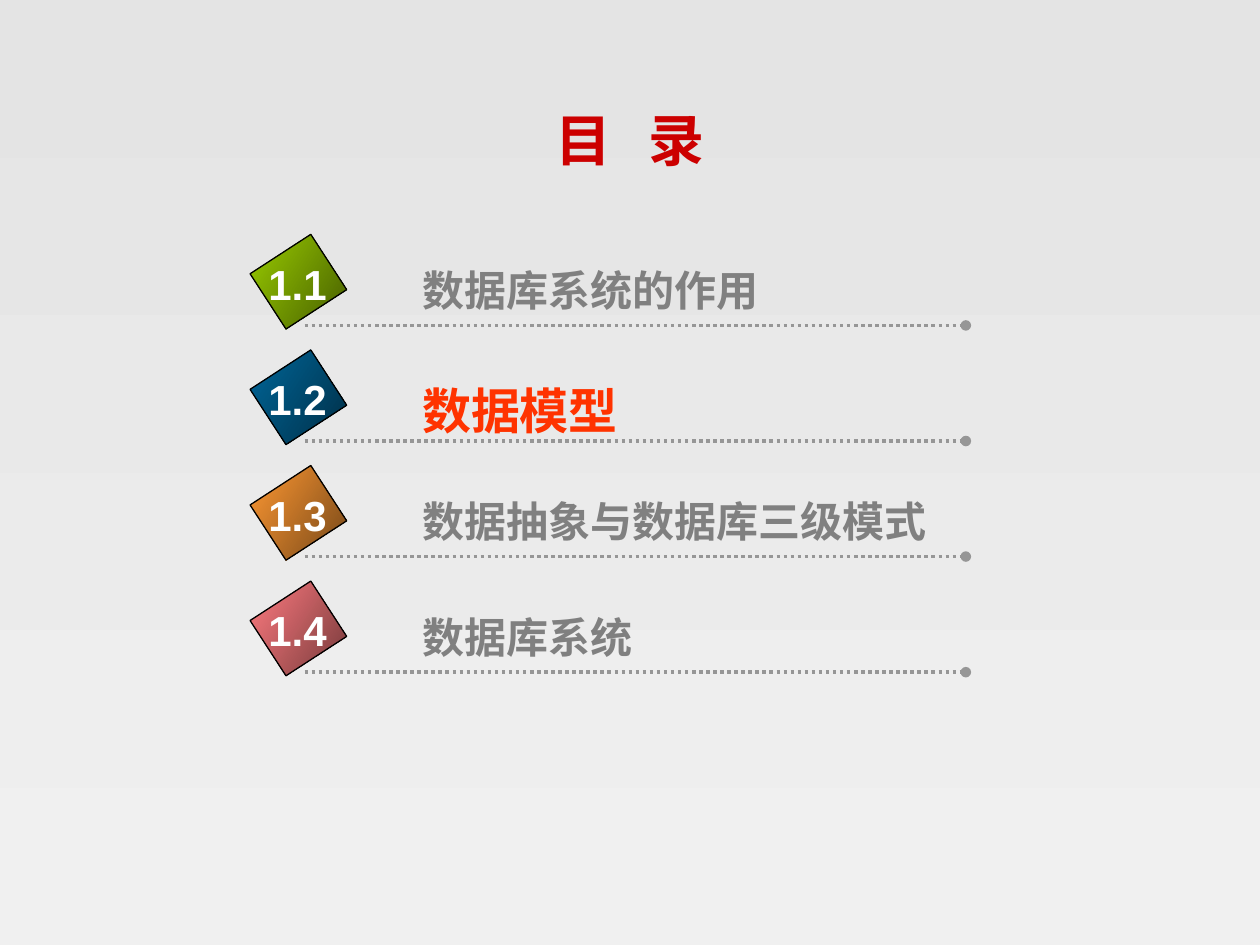
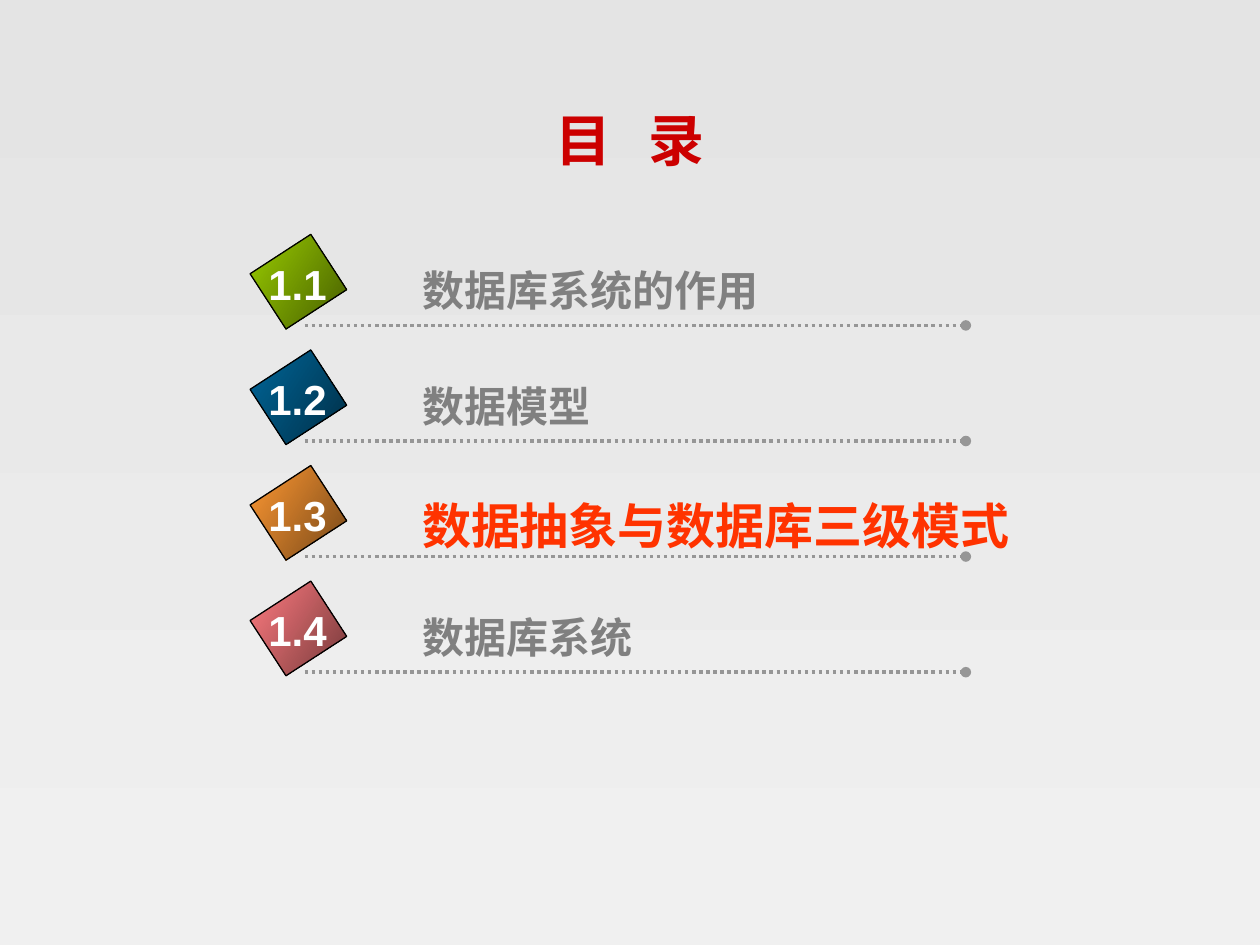
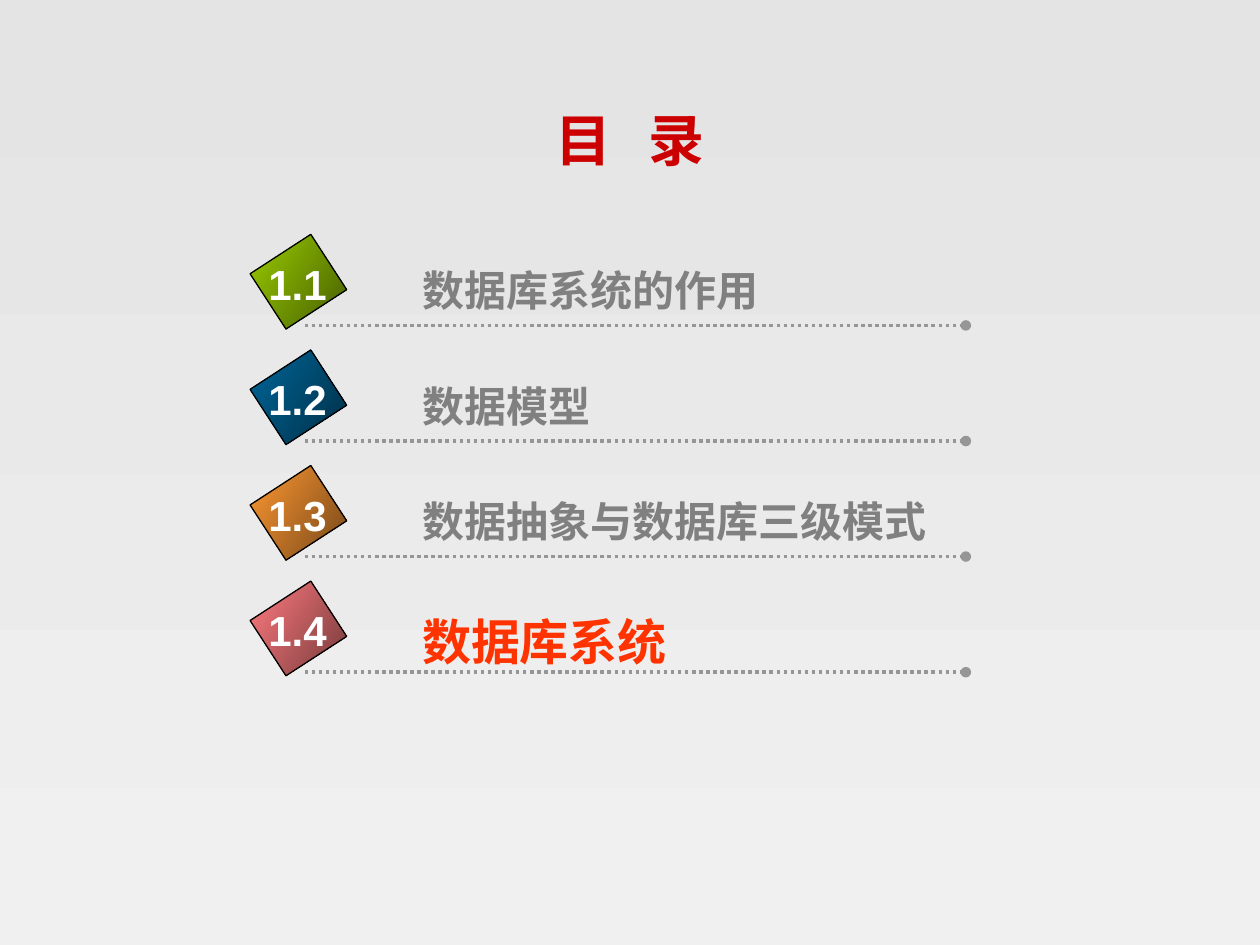
from lxml import etree
from pptx import Presentation
from pptx.dml.color import RGBColor
from pptx.enum.dml import MSO_LINE
from pptx.enum.shapes import MSO_CONNECTOR, MSO_SHAPE
from pptx.enum.text import MSO_ANCHOR, MSO_AUTO_SIZE, PP_ALIGN
from pptx.oxml.ns import qn
from pptx.util import Cm, Pt

STRAIGHT = MSO_CONNECTOR.STRAIGHT
RECTANGLE = MSO_SHAPE.RECTANGLE
DOTTED = MSO_LINE.ROUND_DOT  # written to the file as sysDot
LEFT, CENTER = PP_ALIGN.LEFT, PP_ALIGN.CENTER
TOP, MIDDLE = MSO_ANCHOR.TOP, MSO_ANCHOR.MIDDLE
GROW, FIXED = MSO_AUTO_SIZE.SHAPE_TO_FIT_TEXT, MSO_AUTO_SIZE.NONE

LATIN_FONT = "Arial"
CHINESE_FONT = "Noto Sans CJK SC"
COLORS = {
    "background_top": "E4E4E4",
    "background_bottom": "F0F0F0",
    "title": "CC0000",
    "entry": "808080",
    "current": "FF3300",
    "number": "FFFFFF",
    "rule": "969696",
    "outline": "000000",
}

# Number, heading, heading width in cm, light and dark end of the marker
SECTIONS = [
    ("1.1", "数据库系统的作用", 11.22, "99CC00", "475E00"),
    ("1.2", "数据模型", 9.53, "006699", "002F47"),
    ("1.3", "数据抽象与数据库三级模式", 12.9, "FF9933", "764718"),
    ("1.4", "数据库系统", 9.32, "FF7C80", "76393B"),
]
CURRENT_SECTIONS = ["1.2", "1.3", "1.4"]  # one slide each
FIRST_RULE = 6.56
ROW_PITCH = 2.33


def add_text(shapes, text, *, left, top, width, height, color, size=24,
             font=LATIN_FONT, align=LEFT, anchor=TOP, wrap=True,
             auto_size=GROW, gap=0):
    """Add a bold one-line text box; gap widens the space between words."""
    box = shapes.add_textbox(Cm(left), Cm(top), Cm(width), Cm(height))
    frame = box.text_frame
    frame.word_wrap = wrap
    frame.auto_size = auto_size
    frame.vertical_anchor = anchor
    paragraph = frame.paragraphs[0]
    paragraph.alignment = align
    words = text.split(" ")
    for index, word in enumerate(words):
        is_last = index == len(words) - 1
        run = paragraph.add_run()
        run.text = word if is_last else word + " "
        run.font.name = font
        run.font.size = Pt(size)
        run.font.bold = True
        run.font.color.rgb = RGBColor.from_string(color)
        properties = run.font._element
        etree.SubElement(properties, qn("a:ea")).set("typeface", CHINESE_FONT)
        if gap and not is_last:
            properties.set("spc", str(gap * 100))


def set_gradient(fill, start, end, angle):
    """Fill from start to end, with the angle measured clockwise."""
    fill.gradient()
    fill.gradient_angle = 360 - angle
    for stop, color in zip(fill.gradient_stops, (start, end)):
        stop.color.rgb = RGBColor.from_string(color)


presentation = Presentation()
presentation.slide_width = Cm(25.4)
presentation.slide_height = Cm(19.05)
blank_layout = presentation.slide_layouts[6]

for current in CURRENT_SECTIONS:
    slide = presentation.slides.add_slide(blank_layout)
    set_gradient(slide.background.fill, COLORS["background_top"],
                 COLORS["background_bottom"], 90)

    # Title
    add_text(slide.shapes, "目 录", left=1.9, top=1.96, width=21.6, height=1.7,
             color=COLORS["title"], size=32, font=CHINESE_FONT, align=CENTER,
             anchor=MIDDLE, auto_size=FIXED, gap=7)

    for row, (number, heading, width, light, dark) in enumerate(SECTIONS):
        rule_y = FIRST_RULE + row * ROW_PITCH
        is_current = number == current

        # Dotted rule with a round end
        rule = slide.shapes.add_connector(
            STRAIGHT, Cm(6.14), Cm(rule_y), Cm(19.47), Cm(rule_y))
        rule.line.color.rgb = RGBColor.from_string(COLORS["rule"])
        rule.line.width = Pt(2)
        rule.line.dash_style = DOTTED
        etree.SubElement(rule.line._get_or_add_ln(), qn("a:tailEnd")).set("type", "oval")
        etree.SubElement(rule._element.spPr, qn("a:effectLst"))

        # Heading
        add_text(slide.shapes, heading, left=8.26, top=rule_y - 1.35, width=width,
                 height=1.45 if is_current else 1.27,
                 color=COLORS["current" if is_current else "entry"],
                 size=28 if is_current else 24)

        # Tilted marker and its number
        group = slide.shapes.add_group_shape()
        marker = group.shapes.add_shape(
            RECTANGLE, Cm(5.35), Cm(rule_y - 1.61), Cm(1.33), Cm(1.46))
        marker.rotation = 57
        marker.shadow.inherit = False
        set_gradient(marker.fill, light, dark, 33)
        marker._element.spPr.find(qn("a:gradFill")).set("rotWithShape", "0")
        marker.line.color.rgb = RGBColor.from_string(COLORS["outline"])
        marker.line.width = Pt(0.75)
        add_text(group.shapes, number, left=5.16, top=rule_y - 1.48, width=1.68,
                 height=1.27, color=COLORS["number"], align=CENTER, wrap=False)

presentation.save("out.pptx")
